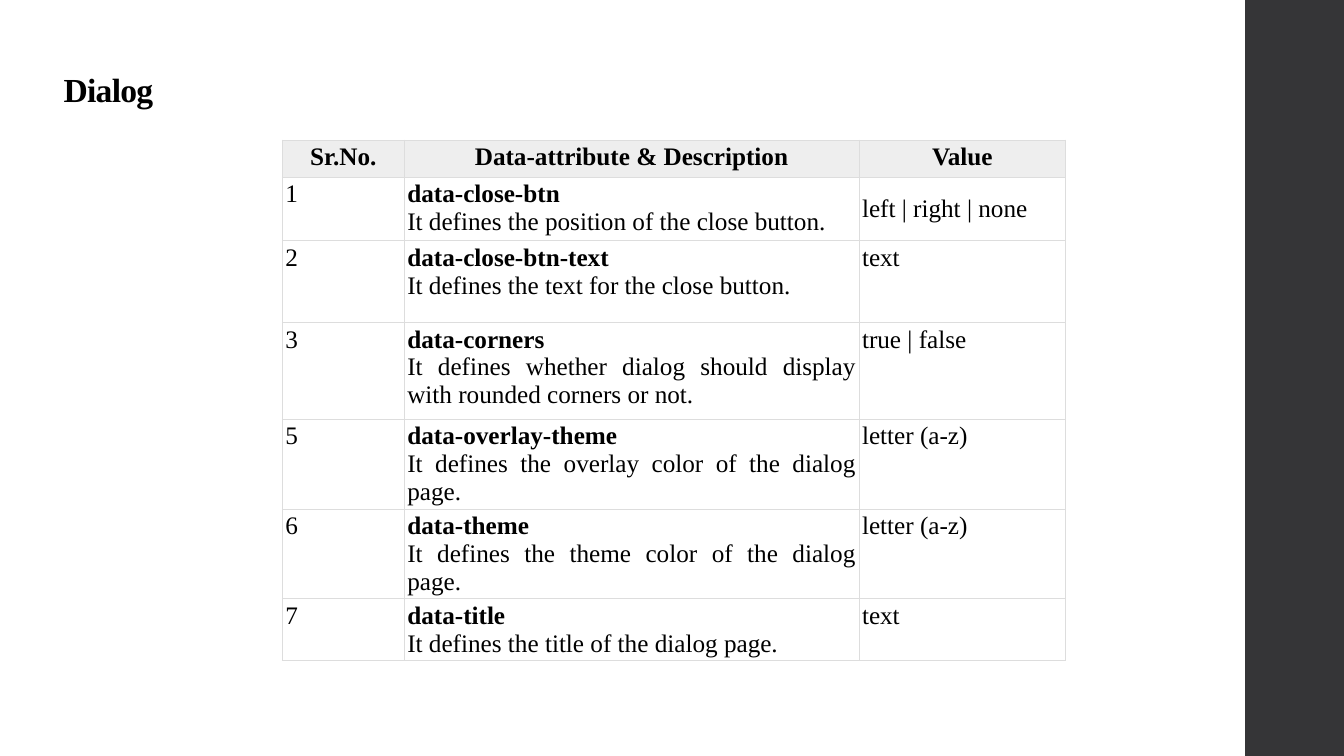
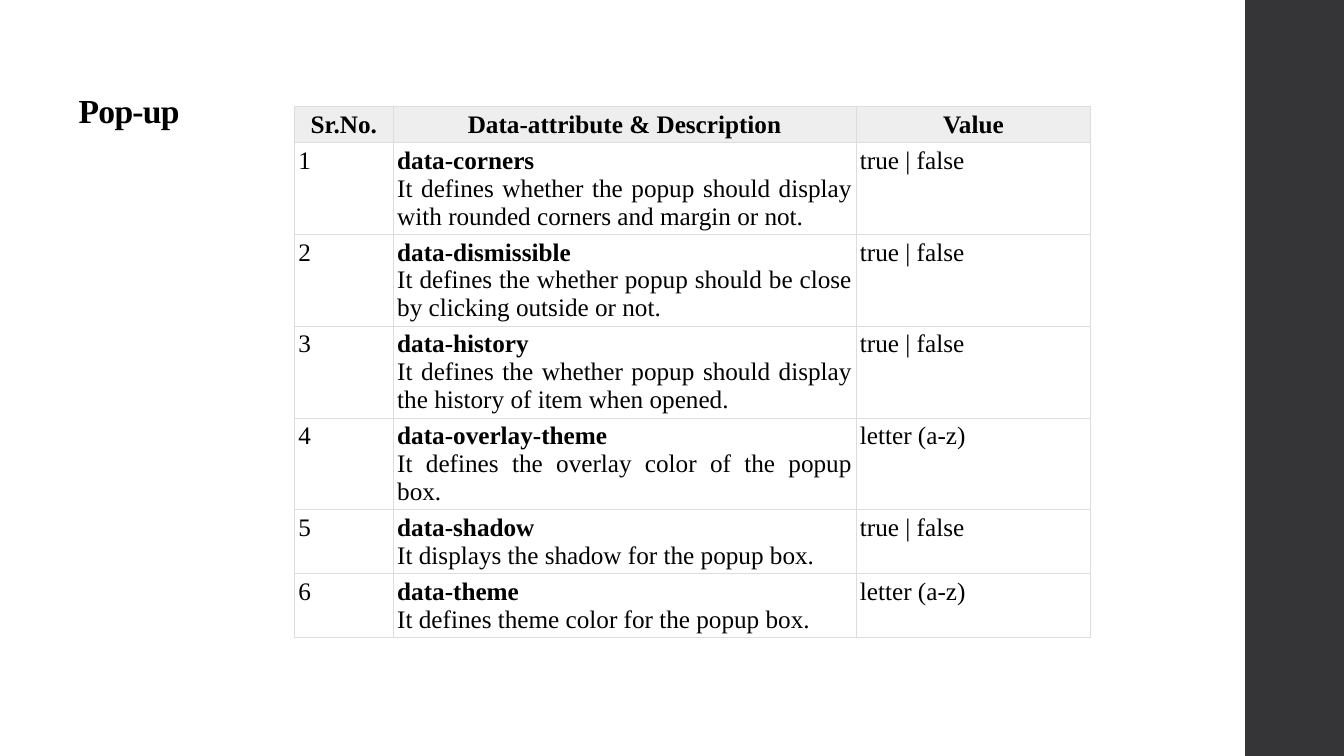
from dataclasses import dataclass

from lxml.etree import SubElement
from pptx import Presentation
from pptx.dml.color import RGBColor
from pptx.enum.shapes import MSO_SHAPE
from pptx.enum.text import MSO_ANCHOR, PP_ALIGN
from pptx.oxml.ns import qn
from pptx.presentation import Presentation as Deck
from pptx.slide import Slide, SlideLayout
from pptx.table import _Cell as Cell
from pptx.text.text import _Paragraph as Paragraph
from pptx.util import Inches, Pt

BLACK = RGBColor(0x00, 0x00, 0x00)
BAND = RGBColor(0x35, 0x35, 0x37)
HEADER_FILL = RGBColor(0xEE, 0xEE, 0xEE)
GRID_LINE = RGBColor(0xDD, 0xDD, 0xDD)
FONT = "Times New Roman"
HEADERS = ("Sr.No.", "Data-attribute & Description", "Value")
TITLE_TOP, TITLE_RIGHT = 0.4, 11.98


@dataclass(frozen=True)
class Attribute:
    number: str
    name: str
    description: str
    value: str
    height: float
    value_anchor: MSO_ANCHOR = MSO_ANCHOR.TOP


@dataclass(frozen=True)
class AttributePage:
    title: str
    title_left: float
    title_height: float
    left: float
    top: float
    columns: tuple[float, ...]
    header_height: float
    inset: float
    attributes: tuple[Attribute, ...]


PAGES = (
    AttributePage(
        "Dialog", 0.53, 0.74, 2.8, 1.39, (1.21, 4.51, 2.05), 0.37, 0.03,
        (
            Attribute("1", "data-close-btn", "It defines the position of the close button.",
                      "left | right | none", 0.63, MSO_ANCHOR.MIDDLE),
            Attribute("2", "data-close-btn-text", "It defines the text for the close button.",
                      "text", 0.81),
            Attribute("3", "data-corners",
                      "It defines whether dialog should display with rounded corners or not.",
                      "true | false", 0.96),
            Attribute("5", "data-overlay-theme",
                      "It defines the overlay color of the dialog page.", "letter (a-z)", 0.81),
            Attribute("6", "data-theme",
                      "It defines the theme color of the dialog page.", "letter (a-z)", 0.67),
            Attribute("7", "data-title", "It defines the title of the dialog page.",
                      "text", 0.52),
        ),
    ),
    AttributePage(
        "Pop-up", 0.68, 0.95, 2.92, 1.06, (0.98, 4.59, 2.33), 0.33, 0.04,
        (
            Attribute("1", "data-corners",
                      "It defines whether the popup should display with rounded corners "
                      "and margin or not.", "true | false", 0.85),
            Attribute("2", "data-dismissible",
                      "It defines the whether popup should be close by clicking outside or not.",
                      "true | false", 0.85),
            Attribute("3", "data-history",
                      "It defines the whether popup should display the history of item "
                      "when opened.", "true | false", 0.85),
            Attribute("4", "data-overlay-theme",
                      "It defines the overlay color of the popup box.", "letter (a-z)", 0.72),
            Attribute("5", "data-shadow", "It displays the shadow for the popup box.",
                      "true | false", 0.59),
            Attribute("6", "data-theme", "It defines theme color for the popup box.",
                      "letter (a-z)", 0.59),
        ),
    ),
)


def add_run(p: Paragraph, text: str, size: float, bold: bool) -> None:
    r = p.add_run()
    r.text = text
    r.font.name, r.font.size = FONT, Pt(size)
    r.font.bold = bold
    r.font.color.rgb = BLACK


def add_band(prs: Deck, s: Slide, layout: SlideLayout) -> None:
    """Draw the right-hand band and move it to the shared layout."""
    for placeholder in list(layout.placeholders):
        if placeholder.placeholder_format.idx >= 10:
            placeholder.element.getparent().remove(placeholder.element)
    band = s.shapes.add_shape(MSO_SHAPE.RECTANGLE, Inches(12.35), 0,
                              Inches(1), prs.slide_height)
    band.shadow.inherit = False
    band.fill.solid()
    band.fill.fore_color.rgb = BAND
    band.line.fill.background()
    layout.shapes.element.append(band.element)


def add_title(s: Slide, page: AttributePage) -> None:
    title = s.shapes.title
    title.left, title.top = Inches(page.title_left), Inches(TITLE_TOP)
    title.width = Inches(TITLE_RIGHT - page.title_left)
    title.height = Inches(page.title_height)
    tf = title.text_frame
    tf.vertical_anchor = MSO_ANCHOR.BOTTOM
    p = tf.paragraphs[0]
    p.alignment, p.line_spacing = PP_ALIGN.LEFT, 0.9
    add_run(p, page.title, 24, True)
    p.runs[0].font._element.set("spc", "-50")


def add_borders(cell: Cell) -> None:
    tcPr = cell._tc.get_or_add_tcPr()
    for i, side in enumerate(("lnL", "lnR", "lnT", "lnB")):
        ln = SubElement(tcPr, qn(f"a:{side}"), w=str(Pt(0.75)))
        fill = SubElement(ln, qn("a:solidFill"))
        SubElement(fill, qn("a:srgbClr"), val=str(GRID_LINE))
        tcPr.insert(i, ln)


def fill_cell(cell: Cell, lines: tuple[tuple[str, bool], ...], align: PP_ALIGN,
              inset: float, anchor: MSO_ANCHOR = MSO_ANCHOR.TOP) -> None:
    cell.margin_left = cell.margin_right = Inches(inset)
    cell.margin_top = cell.margin_bottom = Inches(inset)
    cell.vertical_anchor = anchor
    cell.fill.background()
    tf = cell.text_frame
    for i, (text, bold) in enumerate(lines):
        p = tf.add_paragraph() if i else tf.paragraphs[0]
        p.alignment = align
        add_run(p, text, 18, bold)
    add_borders(cell)


def add_attribute_table(s: Slide, page: AttributePage) -> None:
    heights = (page.header_height, *(a.height for a in page.attributes))
    table = s.shapes.add_table(
        len(heights), len(HEADERS), Inches(page.left), Inches(page.top),
        Inches(sum(page.columns)), Inches(sum(heights))).table
    table.first_row = table.horz_banding = False
    for column, width in zip(table.columns, page.columns):
        column.width = Inches(width)
    for row, height in zip(table.rows, heights):
        row.height = Inches(height)

    # Header row
    for cell, text in zip(table.rows[0].cells, HEADERS):
        fill_cell(cell, ((text, True),), PP_ALIGN.CENTER, page.inset)
        cell.fill.solid()
        cell.fill.fore_color.rgb = HEADER_FILL

    # One row per attribute
    for i, a in enumerate(page.attributes, start=1):
        number, description, value = table.rows[i].cells
        fill_cell(number, ((a.number, False),), PP_ALIGN.LEFT, page.inset)
        fill_cell(description, ((a.name, True), (a.description, False)),
                  PP_ALIGN.JUSTIFY, page.inset)
        fill_cell(value, ((a.value, False),), PP_ALIGN.LEFT, page.inset, a.value_anchor)


def main() -> None:
    prs = Presentation()
    prs.slide_width, prs.slide_height = Inches(13.33), Inches(7.5)
    layout = prs.slide_layouts.get_by_name("Title Only")
    for i, page in enumerate(PAGES):
        s = prs.slides.add_slide(layout)
        if i == 0:
            add_band(prs, s, layout)
        add_title(s, page)
        add_attribute_table(s, page)
    prs.save("out.pptx")


if __name__ == "__main__":
    main()
